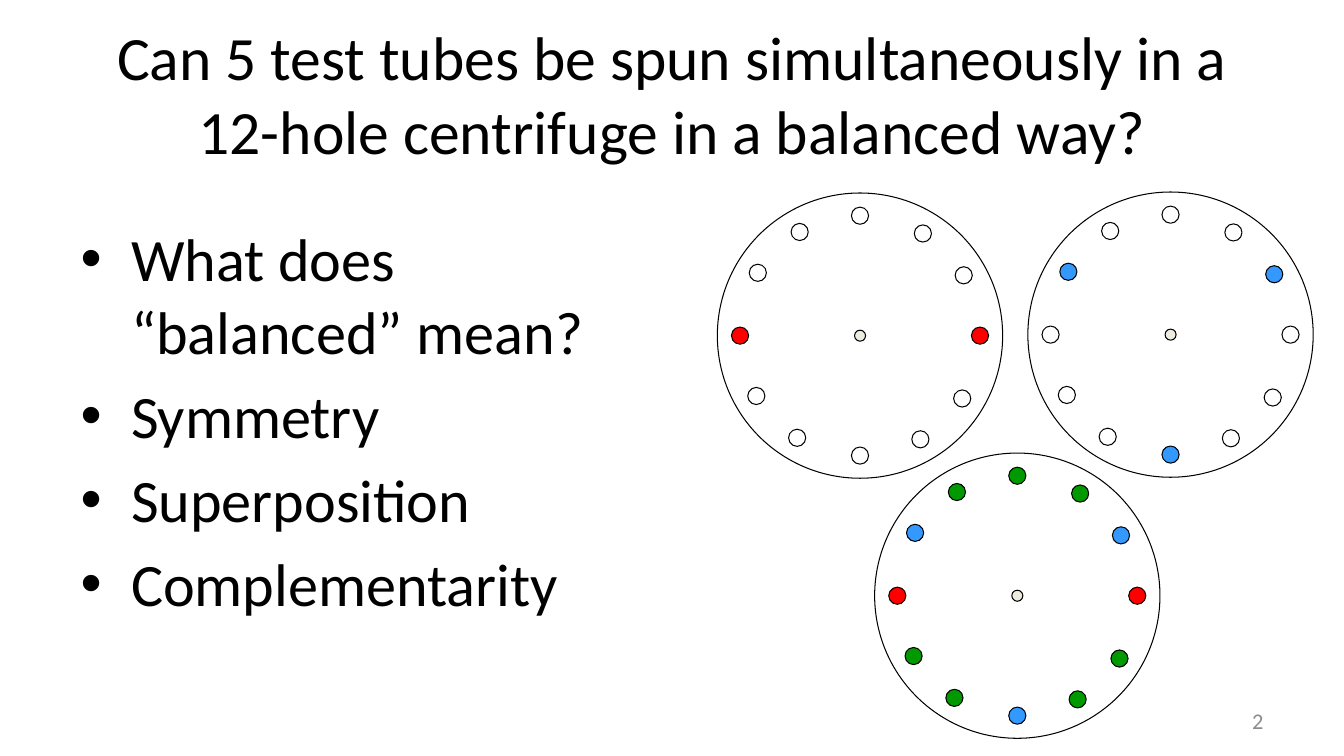
from math import cos, radians, sin

from pptx import Presentation
from pptx.dml.color import RGBColor
from pptx.enum.shapes import MSO_SHAPE
from pptx.enum.text import MSO_ANCHOR, MSO_AUTO_SIZE, PP_ALIGN
from pptx.util import Inches, Pt

OVAL = MSO_SHAPE.OVAL
TOP, MIDDLE = MSO_ANCHOR.TOP, MSO_ANCHOR.MIDDLE
LEFT, CENTER, RIGHT = PP_ALIGN.LEFT, PP_ALIGN.CENTER, PP_ALIGN.RIGHT
NO_FIT = MSO_AUTO_SIZE.NONE

COLORS = {"black": "000000", "gray": "8C8C8C", "hub": "EEECE1",
          "red": "FF0000", "blue": "3399FF", "green": "009900"}


def write(sp, box, lines, size, color, align, anchor):
    sp.left, sp.top, sp.width, sp.height = (Inches(v) for v in box)
    tf = sp.text_frame
    frame = {"word_wrap": True, "auto_size": NO_FIT, "vertical_anchor": anchor,
             "margin_left": Inches(0.13), "margin_right": Inches(0.13),
             "margin_top": Inches(0.07), "margin_bottom": Inches(0.07)}
    for name, value in frame.items():
        setattr(tf, name, value)
    tf.text = "\n".join(lines)
    for p in tf.paragraphs:
        p.alignment = align
        font = p.runs[0].font
        font.name, font.size = "Calibri", Pt(size)
        font.color.rgb = RGBColor.from_string(COLORS[color])


def add_circle(group, cx, cy, d, color=None):
    sp = group.shapes.add_shape(OVAL, Inches(cx - d / 2), Inches(cy - d / 2),
                                Inches(d), Inches(d))
    sp.shadow.inherit = False
    sp.line.color.rgb = RGBColor.from_string(COLORS["black"])
    sp.line.width = Pt(0.75)
    if color:
        sp.fill.solid()
        sp.fill.fore_color.rgb = RGBColor.from_string(COLORS[color])
    else:
        sp.fill.background()


prs = Presentation()
prs.slide_width, prs.slide_height = Inches(13.33), Inches(7.5)
s = prs.slides.add_slide(prs.slide_layouts[1])

# Title
write(s.shapes.title, (0.67, 0.3, 12, 1.25),
      ["Can 5 test tubes be spun simultaneously in a 12-hole centrifuge "
       "in a balanced way?"], 44, "black", CENTER, MIDDLE)

# Bulleted list
body = s.placeholders[1]
write(body, (0.67, 2.13, 6, 4.95),
      ["What does “balanced” mean?", "Symmetry", "Superposition",
       "Complementarity"], 43, "black", LEFT, TOP)
for p in body.text_frame.paragraphs:
    pPr = p._p.get_or_add_pPr()
    pPr.set("marL", str(Inches(0.5)))
    pPr.set("indent", str(-Inches(0.5)))

# Slide number
write(s.shapes.add_textbox(0, 0, 0, 0), (9.55, 6.95, 3.11, 0.4),
      ["2"], 16, "gray", RIGHT, MIDDLE)

# Centrifuges: holes are numbered clockwise from the top, like a clock
ROTOR, HOLE, HUB, RING = 2.83, 0.17, 0.11, 1.19
OFFSETS = (0, 1.6, -0.2)  # degrees each hole sits off the exact hour
pair = {3: "red", 9: "red"}
triple = {2: "blue", 6: "blue", 10: "blue"}
rest = {hour: "green" for hour in range(12)}
centrifuges = [
    (8.53, 3.33, pair),
    (11.61, 3.32, triple),
    (10.09, 5.91, {**rest, **pair, **triple}),
]
for cx, cy, tubes in centrifuges:
    group = s.shapes.add_group_shape()
    add_circle(group, cx, cy, ROTOR)
    for hour in range(12):
        angle = radians(30 * hour + OFFSETS[hour % 3])
        add_circle(group, cx + RING * sin(angle), cy - RING * cos(angle),
                   HOLE, tubes.get(hour))
    add_circle(group, cx, cy, HUB, "hub")

prs.save("out.pptx")
